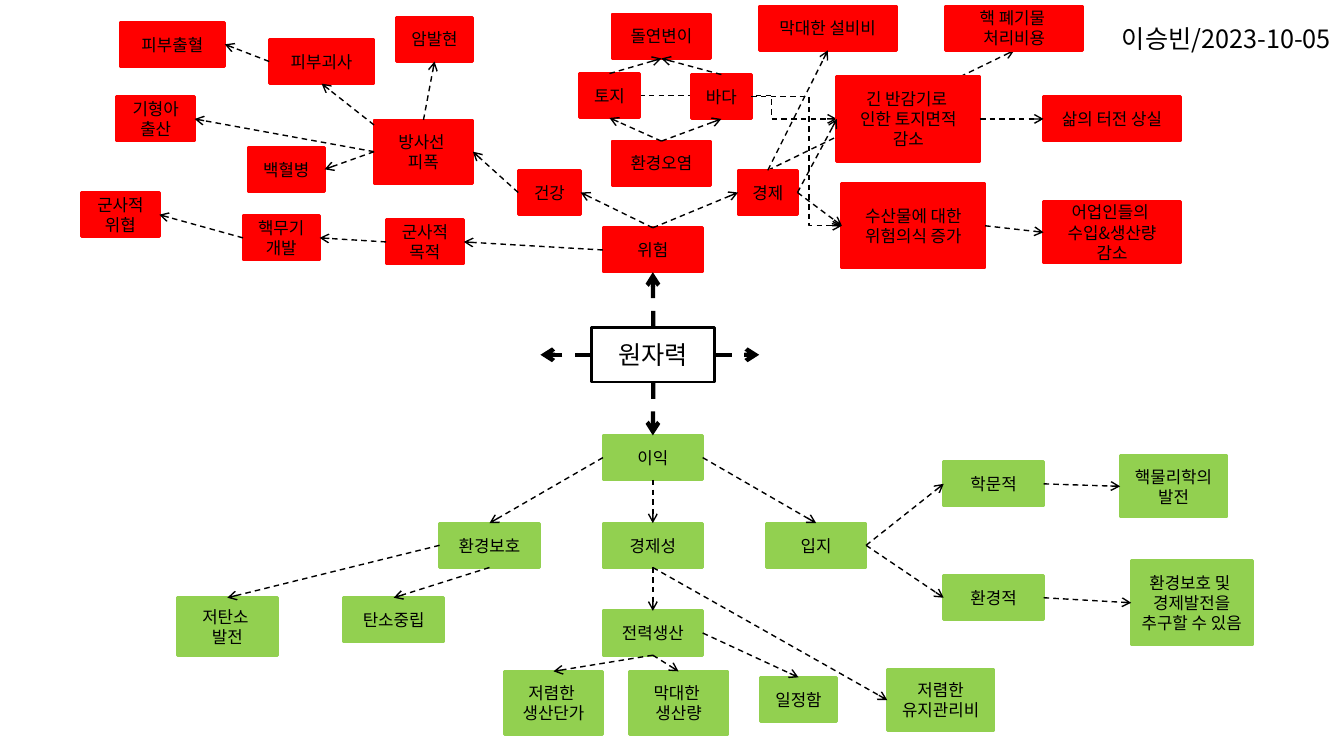
"""Builds a mind map of the risks and benefits of nuclear power."""

import dataclasses
import enum
import typing

import lxml.etree
import pptx
import pptx.dml.color
import pptx.enum.dml
import pptx.enum.shapes
import pptx.enum.text
import pptx.oxml.ns
import pptx.shapes.autoshape
import pptx.shapes.connector
import pptx.slide
import pptx.text.text
import pptx.util

WIDTH, HEIGHT = pptx.util.Inches(13.33), pptx.util.Inches(7.5)
COLUMN, ROW = WIDTH / 133.3, HEIGHT / 75
FONT = "Noto Sans CJK KR"
RISK_RED = pptx.dml.color.RGBColor(0xFF, 0x00, 0x00)
BENEFIT_GREEN = pptx.dml.color.RGBColor(0x92, 0xD0, 0x50)
BLACK = pptx.dml.color.RGBColor(0x00, 0x00, 0x00)

Point = tuple[float, float]


class Side(enum.IntEnum):
    TOP = 0
    LEFT = 1
    BOTTOM = 2
    RIGHT = 3


TOP, LEFT, BOTTOM, RIGHT = Side


@dataclasses.dataclass(frozen=True)
class Topic:
    text: str
    left: float
    top: float
    width: float
    height: float = 4.4

    @property
    def name(self) -> str:
        return " ".join(self.text.split())

    def anchor(self, side: Side) -> Point:
        middle, centre = self.left + self.width / 2, self.top + self.height / 2
        return {
            TOP: (middle, self.top),
            LEFT: (self.left, centre),
            BOTTOM: (middle, self.top + self.height),
            RIGHT: (self.left + self.width, centre),
        }[side]


@dataclasses.dataclass(frozen=True)
class Link:
    parent: str
    leaving: Side
    child: str
    entering: Side
    weight: float = 1
    bend: typing.Optional[float] = None


CORE = Topic("원자력", 58.7, 32.5, 12.2, 5.4)
RISKS = [
    Topic("핵 폐기물 \n처리비용", 93.8, 0.6, 13.6),
    Topic("돌연변이", 60.7, 1.4, 9.8),
    Topic("위험", 59.8, 22.6, 9.9),
    Topic("건강", 51.4, 16.9, 6.2),
    Topic("환경오염", 60.7, 14, 9.8),
    Topic("경제", 73.2, 16.9, 5.9),
    Topic("바다", 68.6, 7.4, 5.9),
    Topic("토지", 57.5, 7.3, 5.9),
    Topic("방사선 \n피폭", 37.1, 11.9, 9.8, 6.3),
    Topic("피부괴사", 26.7, 3.9, 10.4),
    Topic("암발현", 39.3, 1.7, 7.6),
    Topic("백혈병", 24.6, 14.6, 7.6),
    Topic("피부출혈", 11.9, 2.2, 10.4),
    Topic("삶의 터전 상실", 103.5, 9.6, 13.6),
    Topic("기형아 출산", 11.6, 9.6, 7.7),
    Topic("수산물에 대한 위험의식 증가", 83.5, 18.2, 14.2, 8.4),
    Topic("어업인들의 \n수입&생산량 감소", 103.5, 20, 13.6, 6.1),
    Topic("군사적 목적", 38.3, 21.8, 7.7),
    Topic("핵무기 개발", 24.1, 21.4, 7.6),
    Topic("군사적 위협", 8.1, 19.1, 7.7),
    Topic("막대한 설비비", 75.3, 0.6, 13.6),
    Topic("긴 반감기로 \n인한 토지면적\n감소", 83, 7.6, 14.2, 8.4),
]
BENEFITS = [
    Topic("이익", 59.8, 43.2, 9.9),
    Topic("경제성", 59.8, 51.9, 9.9),
    Topic("입지", 76, 51.9, 9.9),
    Topic("전력생산", 59.8, 60.6, 9.9),
    Topic("일정함", 75.4, 67.2, 7.6),
    Topic("저렴한 \n생산단가", 50, 66.6, 9.8, 6.3),
    Topic("막대한 \n생산량", 62.4, 66.6, 9.8, 6.3),
    Topic("학문적", 93.6, 45.8, 9.9),
    Topic("환경적", 93.6, 57.1, 9.9),
    Topic("핵물리학의 발전", 111.1, 45.2, 10.6, 6.1),
    Topic("환경보호 및 \n경제발전을 추구할 수 있음", 112.2, 55.6, 12, 8.4),
    Topic("저탄소 \n발전", 17.6, 59.3, 9.9, 5.7),
    Topic("환경보호", 43.6, 51.9, 9.9),
    Topic("탄소중립", 34.1, 59.3, 9.9),
    Topic("저렴한\n유지관리비", 88, 66.4, 10.6, 6.1),
]
HIDDEN_BEHIND = [
    Link("토지", RIGHT, "긴 반감기로 인한 토지면적 감소", LEFT, bend=0.67),
    Link("경제", TOP, "핵 폐기물 처리비용", BOTTOM),
]
LINKS = [
    Link("원자력", BOTTOM, "이익", TOP, weight=3),
    Link("원자력", TOP, "위험", BOTTOM, weight=3),
    Link("위험", TOP, "건강", RIGHT),
    Link("위험", TOP, "경제", LEFT),
    Link("위험", LEFT, "군사적 목적", RIGHT),
    Link("군사적 목적", LEFT, "핵무기 개발", RIGHT),
    Link("핵무기 개발", LEFT, "군사적 위협", RIGHT),
    Link("건강", LEFT, "방사선 피폭", RIGHT),
    Link("방사선 피폭", TOP, "암발현", BOTTOM),
    Link("방사선 피폭", LEFT, "백혈병", RIGHT),
    Link("방사선 피폭", LEFT, "기형아 출산", RIGHT),
    Link("피부괴사", LEFT, "피부출혈", RIGHT),
    Link("환경오염", TOP, "토지", BOTTOM),
    Link("환경오염", TOP, "바다", BOTTOM),
    Link("바다", TOP, "돌연변이", BOTTOM),
    Link("토지", TOP, "돌연변이", BOTTOM),
    Link("바다", RIGHT, "수산물에 대한 위험의식 증가", LEFT, bend=0.64),
    Link("경제", TOP, "막대한 설비비", BOTTOM),
    Link("경제", RIGHT, "긴 반감기로 인한 토지면적 감소", LEFT),
    Link("경제", RIGHT, "수산물에 대한 위험의식 증가", LEFT),
    Link("긴 반감기로 인한 토지면적 감소", RIGHT, "삶의 터전 상실", LEFT),
    Link("수산물에 대한 위험의식 증가", RIGHT, "어업인들의 수입&생산량 감소", LEFT),
    Link("이익", BOTTOM, "경제성", TOP),
    Link("이익", RIGHT, "입지", TOP),
    Link("이익", LEFT, "환경보호", TOP),
    Link("경제성", BOTTOM, "전력생산", TOP),
    Link("경제성", BOTTOM, "저렴한 유지관리비", LEFT),
    Link("전력생산", RIGHT, "일정함", TOP),
    Link("전력생산", BOTTOM, "저렴한 생산단가", TOP),
    Link("전력생산", BOTTOM, "막대한 생산량", TOP),
    Link("입지", RIGHT, "학문적", LEFT),
    Link("입지", RIGHT, "환경적", LEFT),
    Link("학문적", RIGHT, "핵물리학의 발전", LEFT),
    Link("환경적", RIGHT, "환경보호 및 경제발전을 추구할 수 있음", LEFT),
    Link("환경보호", LEFT, "저탄소 발전", TOP),
    Link("환경보호", BOTTOM, "탄소중립", TOP),
]
TOPICS = {topic.name: topic for topic in [CORE, *RISKS, *BENEFITS]}


def grid(*lengths: float) -> list[int]:
    return [round(length * unit) for length, unit in zip(lengths, (COLUMN, ROW) * 2)]


def write(frame: pptx.text.text.TextFrame, text: str, *, size: float = 12, wrap: bool = True,
          align: pptx.enum.text.PP_ALIGN = pptx.enum.text.PP_ALIGN.CENTER) -> None:
    frame.word_wrap = wrap
    frame.text = text
    for paragraph in frame.paragraphs:
        paragraph.alignment = align
        for run in paragraph.runs:
            run.font.size, run.font.name = pptx.util.Pt(size), FONT
            run.font.color.rgb = BLACK
            east_asian = lxml.etree.SubElement(run.font._element, pptx.oxml.ns.qn("a:ea"))
            east_asian.set("typeface", FONT)


def draw_topic(slide: pptx.slide.Slide, topic: Topic, size: float = 12,
               color: typing.Optional[pptx.dml.color.RGBColor] = None) -> pptx.shapes.autoshape.Shape:
    box = slide.shapes.add_shape(pptx.enum.shapes.MSO_SHAPE.RECTANGLE,
                                 *grid(topic.left, topic.top, topic.width, topic.height))
    box.shadow.inherit = False
    if color is None:
        box.fill.background()
    else:
        box.fill.solid()
        box.fill.fore_color.rgb = color
    box.line.color.rgb, box.line.width = color or BLACK, pptx.util.Pt(2)
    box.text_frame.vertical_anchor = pptx.enum.text.MSO_ANCHOR.MIDDLE
    write(box.text_frame, topic.text, size=size)
    return box


def draw_arrow(slide: pptx.slide.Slide, start: Point, end: Point, weight: float = 1,
               bend: typing.Optional[float] = None) -> pptx.shapes.connector.Connector:
    kinds = pptx.enum.shapes.MSO_CONNECTOR
    arrow = slide.shapes.add_connector(kinds.STRAIGHT if bend is None else kinds.ELBOW, *grid(*start, *end))
    arrow.line.color.rgb, arrow.line.width = BLACK, pptx.util.Pt(weight)
    arrow.line.dash_style = pptx.enum.dml.MSO_LINE.DASH
    qn, properties = pptx.oxml.ns.qn, arrow._element.spPr
    lxml.etree.SubElement(properties.find(qn("a:ln")), qn("a:tailEnd")).set("type", "arrow")
    lxml.etree.SubElement(properties, qn("a:effectLst"))
    if bend is not None:
        guide = lxml.etree.SubElement(properties.find(".//" + qn("a:avLst")), qn("a:gd"))
        guide.set("name", "adj1")
        guide.set("fmla", f"val {round(bend * 100000)}")
    return arrow


def draw_link(slide: pptx.slide.Slide, link: Link) -> pptx.shapes.connector.Connector:
    return draw_arrow(slide, TOPICS[link.parent].anchor(link.leaving),
                      TOPICS[link.child].anchor(link.entering), link.weight, link.bend)


def main() -> None:
    deck = pptx.Presentation()
    deck.slide_width, deck.slide_height = WIDTH, HEIGHT
    slide = deck.slides.add_slide(deck.slide_layouts[6])
    arrows = [(link, draw_link(slide, link)) for link in HIDDEN_BEHIND]
    boxes = {CORE.name: draw_topic(slide, CORE, size=18)}
    for topics, color in ((RISKS, RISK_RED), (BENEFITS, BENEFIT_GREEN)):
        boxes.update({topic.name: draw_topic(slide, topic, color=color) for topic in topics})
    arrows += [(link, draw_link(slide, link)) for link in LINKS]
    for link, arrow in arrows:
        if link.bend is None:
            arrow.begin_connect(boxes[link.parent], link.leaving)
            arrow.end_connect(boxes[link.child], link.entering)
    draw_arrow(slide, (37.1, 12.4), TOPICS["피부괴사"].anchor(BOTTOM))
    draw_arrow(slide, CORE.anchor(LEFT), (53.6, 35.2), weight=3)
    draw_arrow(slide, CORE.anchor(RIGHT), (75.3, 35.2), weight=3)
    author = slide.shapes.add_textbox(*grid(110.3, 1.8, 23.7, 4))
    write(author.text_frame, "이승빈/2023-10-05", size=18, wrap=False, align=pptx.enum.text.PP_ALIGN.LEFT)
    deck.save("out.pptx")


if __name__ == "__main__":
    main()
